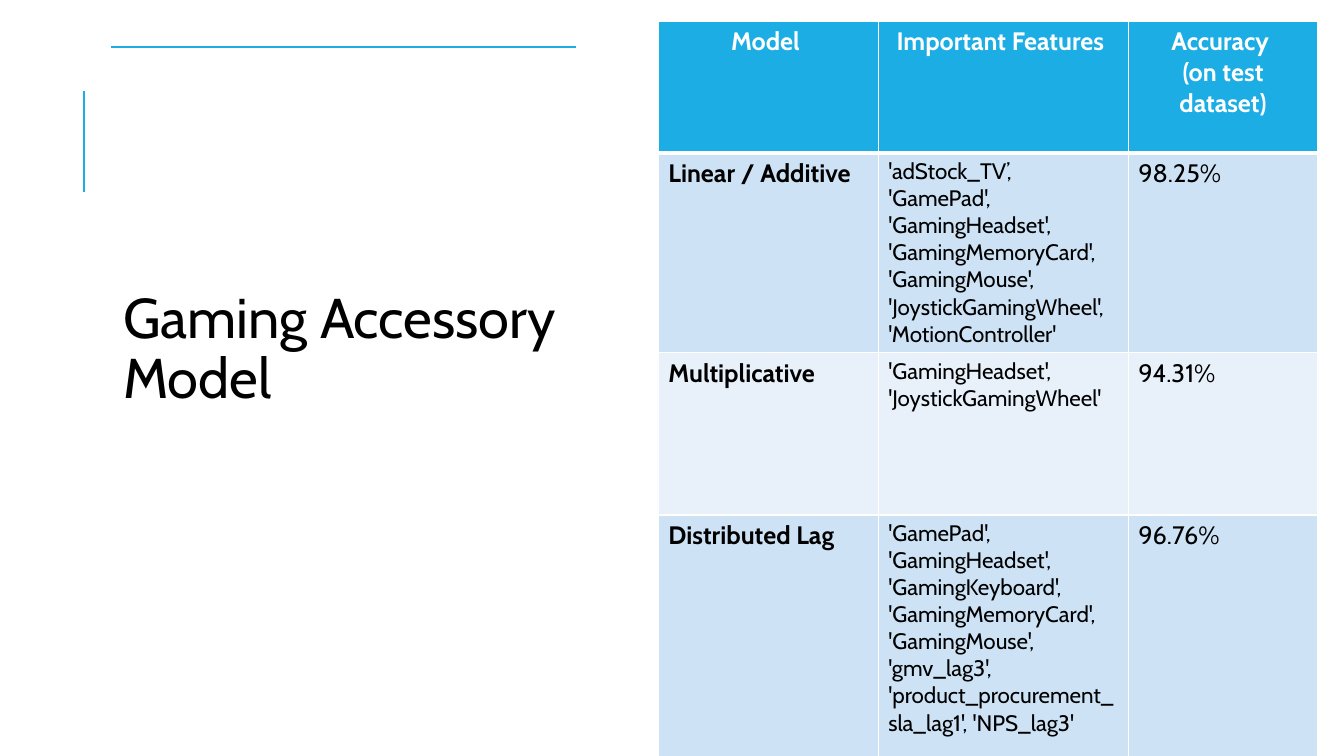
from lxml import etree
from pptx import Presentation
from pptx.dml.color import RGBColor
from pptx.enum.shapes import MSO_CONNECTOR
from pptx.enum.text import MSO_ANCHOR, MSO_AUTO_SIZE, PP_ALIGN
from pptx.oxml import parse_xml
from pptx.oxml.ns import nsdecls, qn
from pptx.util import Inches, Pt

STRAIGHT = MSO_CONNECTOR.STRAIGHT
MIDDLE = MSO_ANCHOR.MIDDLE
NO_FIT = MSO_AUTO_SIZE.NONE
LEFT, CENTER = PP_ALIGN.LEFT, PP_ALIGN.CENTER

FONT = "Cabin"
COLORS = {"accent": "1CADE4", "text": "000000", "white": "FFFFFF",
          "odd": "CDE3F5", "even": "E8F1FA"}

HEADING = "Gaming Accessory Model"
RESULTS = [
    ("Model ", "Important Features ", "Accuracy \n(on test dataset)"),
    ("Linear / Additive",
     "'adStock_TV’, 'GamePad', 'GamingHeadset', 'GamingMemoryCard', "
     "'GamingMouse', 'JoystickGamingWheel', 'MotionController'",
     "98.25%"),
    ("Multiplicative", "'GamingHeadset', 'JoystickGamingWheel'", "94.31%"),
    ("Distributed Lag",
     "'GamePad', 'GamingHeadset', 'GamingKeyboard', 'GamingMemoryCard', "
     "'GamingMouse', 'gmv_lag3', 'product_procurement_sla_lag1', 'NPS_lag3'",
     "96.76%"),
]
COLUMN_WIDTHS = [2.18, 2.48, 1.88]
ROW_HEIGHTS = [1.31, 1.98, 1.61, 2.45]
RULES = [
    ((0.83, 1.9, 0.83, 0.9), 1.5),
    ((1.1, 0.47, 5.71, 0.47), 1.25),
]


def rgb(color):
    return RGBColor.from_string(COLORS[color])


def format_font(font, size, color, bold):
    settings = {"name": FONT, "size": Pt(size), "bold": bold}
    for attribute, value in settings.items():
        setattr(font, attribute, value)
    font.color.rgb = rgb(color)


def add_borders(cell, widths):
    properties = cell._tc.get_or_add_tcPr()
    for side, width in zip("LRTB", widths):
        properties.append(parse_xml(
            f'<a:ln{side} {nsdecls("a")} w="{Pt(width)}"><a:solidFill>'
            f'<a:srgbClr val="{COLORS["white"]}"/></a:solidFill></a:ln{side}>'))


def add_heading(slide):
    heading = slide.shapes.title
    box = {"left": 1.1, "top": 0.47, "width": 4.6, "height": 6.39}
    for attribute, value in box.items():
        setattr(heading, attribute, Inches(value))
    frame = heading.text_frame
    frame.text = HEADING
    settings = {"word_wrap": True, "auto_size": NO_FIT, "vertical_anchor": MIDDLE,
                "margin_left": Inches(0.12), "margin_right": Inches(0.12),
                "margin_top": Inches(0.12), "margin_bottom": Inches(0.5)}
    for attribute, value in settings.items():
        setattr(frame, attribute, value)
    paragraph = frame.paragraphs[0]
    paragraph.alignment = LEFT
    paragraph.line_spacing = 0.9
    format_font(paragraph.runs[0].font, 40, "text", False)


def add_rules(slide):
    for ends, width in RULES:
        rule = slide.shapes.add_connector(STRAIGHT, *map(Inches, ends))
        rule.line.color.rgb = rgb("accent")
        rule.line.width = Pt(width)
        etree.SubElement(rule._element.spPr, qn("a:effectLst"))


def add_results(slide):
    table = slide.shapes.add_table(
        len(RESULTS), len(COLUMN_WIDTHS), Inches(6.53), Inches(0.21),
        Inches(sum(COLUMN_WIDTHS)), Inches(sum(ROW_HEIGHTS))).table
    for column, width in zip(table.columns, COLUMN_WIDTHS):
        column.width = Inches(width)
    for r, (row, height) in enumerate(zip(RESULTS, ROW_HEIGHTS)):
        table.rows[r].height = Inches(height)
        header = r == 0
        fill = "accent" if header else "odd" if r % 2 else "even"
        for c, content in enumerate(row):
            cell = table.cell(r, c)
            add_borders(cell, (1, 1, 3 if r == 1 else 1, 3 if header else 1))
            cell.fill.solid()
            cell.fill.fore_color.rgb = rgb(fill)
            cell.text = content
            for paragraph in cell.text_frame.paragraphs:
                paragraph.alignment = CENTER if header else LEFT
                format_font(paragraph.runs[0].font,
                            16 if c == 1 and not header else 18,
                            "white" if header else "text",
                            header or c == 0)


def main():
    deck = Presentation()
    deck.slide_width, deck.slide_height = Inches(13.33), Inches(7.5)
    slide = deck.slides.add_slide(deck.slide_layouts[5])
    add_heading(slide)
    add_rules(slide)
    add_results(slide)
    deck.save("out.pptx")


if __name__ == "__main__":
    main()
